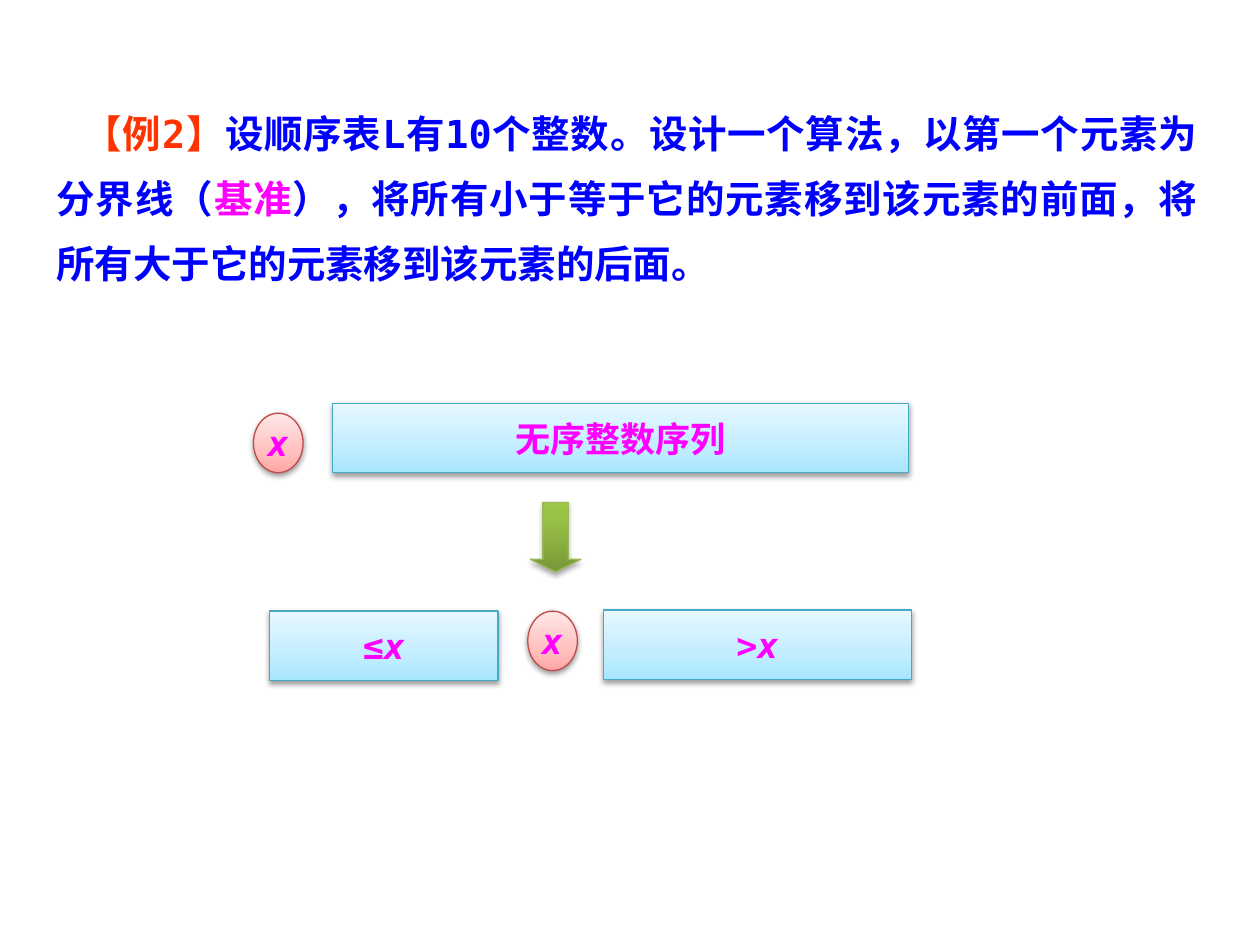
"""Build the slide on partitioning a sequential list around its first element."""
from copy import deepcopy

from lxml.etree import SubElement
from pptx import Presentation
from pptx.dml.color import RGBColor
from pptx.enum.shapes import MSO_SHAPE
from pptx.enum.text import MSO_ANCHOR, MSO_AUTO_SIZE, PP_ALIGN
from pptx.oxml.ns import qn
from pptx.util import Cm, Pt

FONT = "DejaVu Sans Mono"
BLUE = RGBColor(0x00, 0x00, 0xFF)
ORANGE = RGBColor(0xFF, 0x33, 0x00)
MAGENTA = RGBColor(0xFF, 0x00, 0xFF)

EXERCISE = [
    ("【例2】", ORANGE),
    ("设顺序表L有10个整数。设计一个算法，以第一个元素为分界线（", BLUE),
    ("基准", MAGENTA),
    ("），将所有小于等于它的元素移到该元素的前面，将所有大于它的元素移到该元素的后面。", BLUE),
]

STYLES = {
    "pivot": {
        "preset": MSO_SHAPE.OVAL, "size": (1.0, 1.2), "line": RGBColor(0xBF, 0x4C, 0x48),
        "stops": [(0, RGBColor(0xFF, 0xA6, 0xA5)), (0.35, RGBColor(0xFF, 0xC0, 0xBF)),
                  (1, RGBColor(0xFF, 0xE7, 0xE7))],
        "shadow": (20000, 38000),
    },
    "sequence": {
        "preset": MSO_SHAPE.RECTANGLE, "size": (None, 1.4), "line": RGBColor(0x46, 0xAA, 0xC5),
        "stops": [(0, RGBColor(0xA7, 0xE6, 0xFF)), (0.35, RGBColor(0xC1, 0xED, 0xFF)),
                  (1, RGBColor(0xE7, 0xF8, 0xFF))],
        "shadow": (20000, 38000),
    },
    "arrow": {
        "preset": MSO_SHAPE.DOWN_ARROW, "size": (1.02, 1.4), "line": RGBColor(0x98, 0xB9, 0x55),
        "stops": [(0, RGBColor(0x77, 0x97, 0x37)), (0.8, RGBColor(0x9B, 0xC3, 0x48)),
                  (1, RGBColor(0x9D, 0xC7, 0x46))],
        "shadow": (23000, 35000),
    },
}

BEFORE = [
    ("pivot", 5.11, 8.33, None, [("x", True)]),
    ("sequence", 6.71, 8.13, 11.61, [("无序整数序列", False)]),
]
AFTER = [
    ("arrow", 10.69, 10.13, None, []),
    ("sequence", 5.44, 12.32, 4.6, [("≤", False), ("x", True)]),
    ("pivot", 10.64, 12.32, None, [("x", True)]),
    ("sequence", 12.17, 12.3, 6.2, [(">", False), ("x", True)]),
]


def add_span(para, text, size, color, italic=False):
    span = para.add_run()
    span.text = text
    span.font.name = FONT
    span.font.size = Pt(size)
    span.font.bold = True
    span.font.italic = italic
    span.font.color.rgb = color


def add_exercise(page):
    box = page.shapes.add_textbox(Cm(0.89), Cm(1.73), Cm(23.5), Cm(4.06))
    frame = box.text_frame
    frame.word_wrap = True
    frame.auto_size = MSO_AUTO_SIZE.SHAPE_TO_FIT_TEXT
    para = frame.paragraphs[0]
    para.alignment = PP_ALIGN.JUSTIFY
    para.line_spacing = 1.4
    para._p.get_or_add_pPr().set("indent", str(Cm(0.55)))
    for text, color in EXERCISE:
        add_span(para, text, 22, color)


def paint_gradient(shape, stops):
    shape.fill.gradient()
    shape.fill.gradient_angle = 90
    stop_list = shape._element.spPr.find(".//" + qn("a:gsLst"))
    stop_list.append(deepcopy(stop_list[-1]))
    for stop, (position, color) in zip(shape.fill.gradient_stops, stops):
        stop.position = position
        stop.color.rgb = color


def cast_shadow(shape, distance, opacity):
    shape.shadow.inherit = False
    effects = shape._element.spPr.find(qn("a:effectLst"))
    shadow = SubElement(effects, qn("a:outerShdw"), blurRad="40000", dist=str(distance),
                        dir="5400000", rotWithShape="0")
    color = SubElement(shadow, qn("a:srgbClr"), val="000000")
    SubElement(color, qn("a:alpha"), val=str(opacity))


def add_part(group, kind, left, top, width, label):
    style = STYLES[kind]
    own_width, height = style["size"]
    shape = group.shapes.add_shape(style["preset"], Cm(left), Cm(top),
                                   Cm(width or own_width), Cm(height))
    if kind == "arrow":
        shape.adjustments[0] = 0.5
        shape.adjustments[1] = 0.25
    paint_gradient(shape, style["stops"])
    shape.line.color.rgb = style["line"]
    shape.line.width = Pt(0.75)
    cast_shadow(shape, *style["shadow"])
    frame = shape.text_frame
    frame.word_wrap = False
    frame.vertical_anchor = MSO_ANCHOR.MIDDLE
    para = frame.paragraphs[0]
    para.alignment = PP_ALIGN.CENTER
    for text, italic in label:
        add_span(para, text, 20, MAGENTA, italic)


def main():
    deck = Presentation()
    deck.slide_width, deck.slide_height = Cm(25.4), Cm(19.05)
    page = deck.slides.add_slide(deck.slide_layouts[6])
    add_exercise(page)
    for parts in (BEFORE, AFTER):
        group = page.shapes.add_group_shape()
        for part in parts:
            add_part(group, *part)
    deck.save("out.pptx")


if __name__ == "__main__":
    main()
